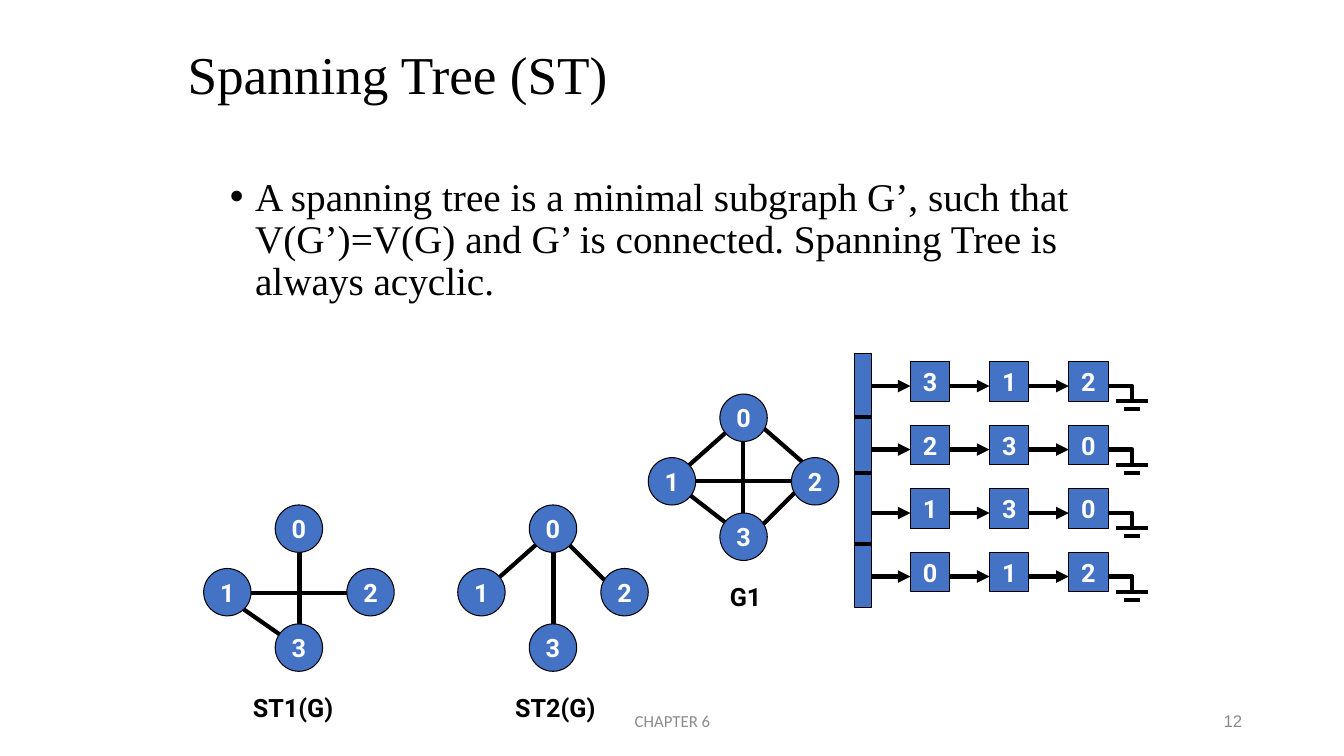
from lxml import etree
from pptx import Presentation
from pptx import util as u
from pptx.dml.color import RGBColor
from pptx.enum import shapes, text
from pptx.oxml.ns import qn

BLACK, BLUE, WHITE = "000000", "4472C4", "FFFFFF"
NODE = 0.47
NODE_SPOTS = [(0.71, 0), (0, 0.63), (1.42, 0.63), (0.71, 1.18)]
CELL = 0.39
CELL_PITCH = 0.785
ROW_PITCH = 0.63

# Edges run from one point to another inside the box of their graph.
G1_EDGES = [
    ((0.94, 0.23), (0.94, 1.41)),
    ((0.23, 0.86), (1.65, 0.86)),
    ((0.94, 0.23), (0.23, 0.86)),
    ((0.23, 0.86), (0.94, 1.41)),
    ((0.94, 0.16), (1.65, 0.78)),
    ((1.65, 0.78), (1.02, 1.41)),
]
ST1_EDGES = [
    ((0.95, 0.31), (0.95, 1.34)),
    ((0.95, 1.42), (0.16, 0.87)),
    ((0.24, 0.87), (1.58, 0.87)),
]
ST2_EDGES = [
    ((0.95, 0.24), (0.95, 1.42)),
    ((0.95, 0.24), (0.24, 0.87)),
    ((0.95, 0.24), (1.65, 0.94)),
]
ADJACENCY = ["312", "230", "130", "012"]
LIST_DIVIDERS = [0.63, 1.18, 1.89]


def color(hex_code):
    return RGBColor.from_string(hex_code)


def place(item, left, top, width, height):
    item.left, item.top = u.Inches(left), u.Inches(top)
    item.width, item.height = u.Inches(width), u.Inches(height)


def write(frame, words, size, font, hex_code, bold=False, align=text.PP_ALIGN.LEFT):
    frame.text = words
    para = frame.paragraphs[0]
    para.alignment = align
    span = para.runs[0].font
    span.size, span.name, span.bold = u.Pt(size), font, bold
    span.color.rgb = color(hex_code)
    return para


def add_line(parent, start, end, arrow=False):
    line = parent.add_connector(
        shapes.MSO_CONNECTOR.STRAIGHT, *(u.Inches(v) for v in (*start, *end)))
    line.line.width = u.Pt(3)
    line.line.color.rgb = color(BLACK)
    if arrow:
        etree.SubElement(line.line._get_or_add_ln(), qn("a:tailEnd"), type="triangle")
    etree.SubElement(line._element.spPr, qn("a:effectLst"))


def add_block(parent, kind, left, top, width, height, label=""):
    block = parent.add_shape(kind, *(u.Inches(v) for v in (left, top, width, height)))
    block.shadow.inherit = False
    block.fill.solid()
    block.fill.fore_color.rgb = color(BLUE)
    block.line.color.rgb = color(BLACK)
    block.line.width = u.Pt(0.75)
    if label:
        frame = block.text_frame
        frame.word_wrap = False
        frame.vertical_anchor = text.MSO_ANCHOR.MIDDLE
        write(frame, label, 18, "Roboto", WHITE, True, text.PP_ALIGN.CENTER)


def add_label(parent, left, top, width, words):
    box = parent.add_textbox(*(u.Inches(v) for v in (left, top, width, 0.4)))
    box.text_frame.word_wrap = False
    box.text_frame.auto_size = text.MSO_AUTO_SIZE.SHAPE_TO_FIT_TEXT
    write(box.text_frame, words, 18, "Roboto", BLACK, True)


def add_graph(page, left, top, edges, name, label_left, label_width):
    graph = page.shapes.add_group_shape().shapes
    for start, end in edges:
        add_line(graph, (left + start[0], top + start[1]), (left + end[0], top + end[1]))
    for number, (x, y) in enumerate(NODE_SPOTS):
        add_block(graph, shapes.MSO_SHAPE.OVAL, left + x, top + y, NODE, NODE, str(number))
    add_label(graph, left + label_left, top + 1.81, label_width, name)


def add_ground(parent, left, top):
    """Draw the null pointer at the end of a list."""
    wire = parent.build_freeform(u.Inches(left), u.Inches(top))
    wire.add_line_segments(
        [(u.Inches(left + 0.23), u.Inches(top)),
         (u.Inches(left + 0.23), u.Inches(top + 0.15))], close=False)
    bend = wire.convert_to_shape()
    bend.shadow.inherit = False
    bend.fill.background()
    bend.line.color.rgb = color(BLACK)
    bend.line.width = u.Pt(3)
    for inset, drop, length in [(0.07, 0.15, 0.32), (0.15, 0.23, 0.16)]:
        start = (left + inset, top + drop)
        add_line(parent, start, (start[0] + length, start[1]))


def add_adjacency_lists(page, left, top):
    lists = page.shapes.add_group_shape().shapes
    square = shapes.MSO_SHAPE.RECTANGLE
    add_block(lists, square, left, top, 0.16, 4 * ROW_PITCH)
    for offset in LIST_DIVIDERS:
        add_line(lists, (left, top + offset), (left + 0.16, top + offset))
    for row, labels in enumerate(ADJACENCY):
        cell_top = top + 0.08 + row * ROW_PITCH
        wire_y = cell_top + 0.24
        for column, label in enumerate(labels):
            cell_left = left + 0.55 + column * CELL_PITCH
            add_block(lists, square, cell_left, cell_top, CELL, CELL, label)
            add_line(lists, (cell_left - 0.39, wire_y), (cell_left, wire_y), arrow=True)
        add_ground(lists, left + 2.52, wire_y)


def add_title(page, left, top, width, height):
    title = page.shapes.title
    place(title, left, top, width, height)
    title.text_frame.auto_size = text.MSO_AUTO_SIZE.NONE
    title.text_frame.vertical_anchor = text.MSO_ANCHOR.MIDDLE
    para = write(title.text_frame, "Spanning Tree (ST)", 38, "Times New Roman", BLACK)
    para.line_spacing = 0.9


def add_definition(page, left, top, width, height):
    body = page.placeholders[1]
    place(body, left, top, width, height)
    body.text_frame.auto_size = text.MSO_AUTO_SIZE.NONE
    para = write(
        body.text_frame,
        "A spanning tree is a minimal subgraph G’, such that V(G’)=V(G) and G’ is "
        "connected. Spanning Tree is always acyclic.",
        28, "Times New Roman", BLACK)
    para.line_spacing = 0.9
    para.space_before = u.Pt(0)
    settings = para._p.get_or_add_pPr()
    settings.set("marL", str(u.Inches(0.25)))
    settings.set("indent", str(-u.Inches(0.25)))
    etree.SubElement(settings, qn("a:buFont"), typeface="Arial")
    etree.SubElement(settings, qn("a:buChar"), char="•")


def add_footer(page, top):
    for words, left, width, font, hex_code, align in [
        ("CHAPTER 6", 4.42, 4.5, "Calibri", "8C8C8C", text.PP_ALIGN.CENTER),
        ("12", 9.42, 3, "Arial", "898989", text.PP_ALIGN.RIGHT),
    ]:
        box = page.shapes.add_textbox(*(u.Inches(v) for v in (left, top, width, 0.4)))
        box.text_frame.word_wrap = True
        box.text_frame.vertical_anchor = text.MSO_ANCHOR.MIDDLE
        write(box.text_frame, words, 12, font, hex_code, align=align)


def main():
    deck = Presentation()
    deck.slide_width, deck.slide_height = u.Inches(13.33), u.Inches(7.5)
    page = deck.slides.add_slide(deck.slide_layouts[1])
    add_title(page, 1.76, 0.04, 8.62, 1.45)
    add_definition(page, 2.18, 1.71, 8.62, 4.76)
    add_footer(page, 6.95)
    add_adjacency_lists(page, 8.48, 3.51)
    add_graph(page, 6.43, 3.91, G1_EDGES, "G1", 0.71, 0.55)
    add_graph(page, 2.02, 5.01, ST1_EDGES, "ST1(G)", 0.39, 1.09)
    add_graph(page, 4.54, 5.01, ST2_EDGES, "ST2(G)", 0.47, 1.09)
    deck.save("out.pptx")


if __name__ == "__main__":
    main()
